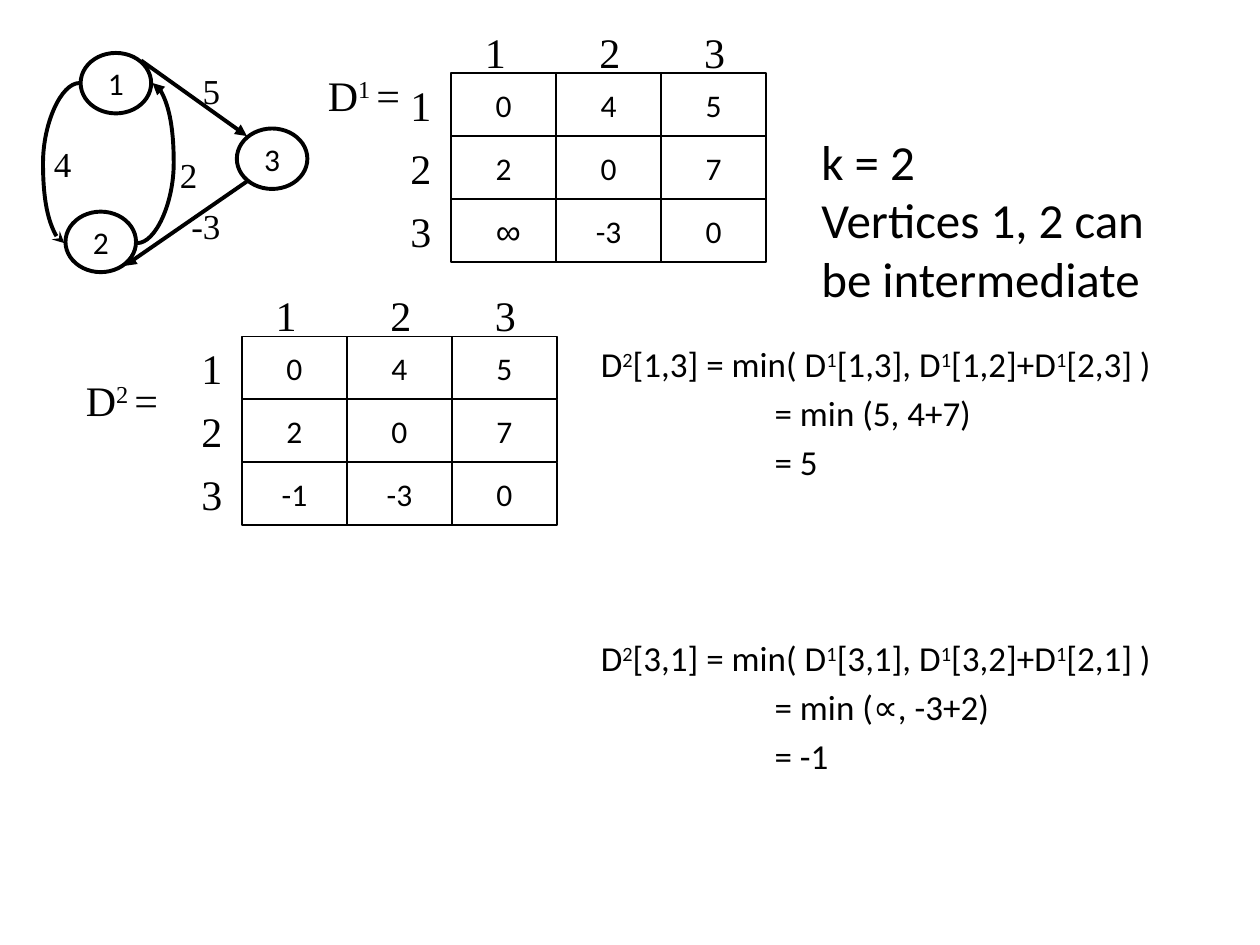
from lxml import etree
from pptx import Presentation
from pptx.dml.color import RGBColor
from pptx.enum import shapes as kinds, text as modes
from pptx.oxml.ns import qn
from pptx.util import Inches, Pt

deck = Presentation()
deck.slide_width, deck.slide_height = Inches(10), Inches(7.5)
slide = deck.slides.add_slide(deck.slide_layouts[6])
items = slide.shapes
black = RGBColor.from_string("000000")
serif = "Times New Roman"


def write(para, words, size, face):
    for i, part in enumerate(words.split("^")):
        run = para.add_run()
        run.text = part
        run.font.size, run.font.name = Pt(size), face
        run.font.color.rgb = black
        if i % 2:
            run._r.get_or_add_rPr().set("baseline", "30000")


def place(kind, box, words, size, face, width=0):
    box = [Inches(n) for n in box]
    item = items.add_shape(kind, *box) if kind else items.add_textbox(*box)
    frame = item.text_frame
    frame.word_wrap = False
    para = frame.paragraphs[0]
    if kind:
        item.shadow.inherit = False
        item.fill.background()
        item.line.color.rgb, item.line.width = black, Pt(width)
        frame.vertical_anchor = modes.MSO_ANCHOR.MIDDLE
        para.alignment = modes.PP_ALIGN.CENTER
    write(para, words, size, face)


rect, oval = kinds.MSO_SHAPE.RECTANGLE, kinds.MSO_SHAPE.OVAL
wide, high = 2.5 / 3, 0.5
grids = [
    (1.92, 2.67, ["0 4 5", "2 0 7", "-1 -3 0"]),
    (3.58, 0.58, ["0 4 5", "2 0 7", "∞ -3 0"]),
]
for left, top, rows in grids:
    for r, row in enumerate(rows):
        for c, cell in enumerate(row.split()):
            box = (left + c * wide, top + r * high, wide, high)
            if cell == "∞":
                place(rect, box, " ∞", 20, "Arial", 1)
            else:
                place(rect, box, cell, 18, "Calibri", 1)
    for i, shift in enumerate([0.17, 1.08, 1.91]):
        head = str(i + 1)
        place(None, (left + shift, top - 0.42, 0.37, 0.5), head, 24, serif)
        place(None, (left - 0.42, top + i * high, 0.37, 0.5), head, 24, serif)

place(None, (0.5, 2.92, 0.88, 0.5), " D^2 ^=", 24, serif)
place(None, (2.42, 0.5, 0.88, 0.5), " D^1 ^=", 24, serif)

for name, x, y in [("1", 0.64, 0.42), ("2", 0.52, 1.68), ("3", 1.88, 1.02)]:
    place(oval, (x, y, 0.56, 0.48), name, 18, "Calibri", 2.25)

line, curve = kinds.MSO_CONNECTOR.STRAIGHT, kinds.MSO_CONNECTOR.CURVE
edges = [
    (line, (1.12, 0.48, 1.96, 1.08), "tailEnd", "triangle", None),
    (line, (1.96, 1.44, 0.99, 2.11), "tailEnd", "triangle", None),
    (curve, (0.51, 1.93, 0.63, 0.66), "headEnd", "stealth", -140600),
    (curve, (1.09, 1.93, 1.21, 0.66), "tailEnd", "triangle", 240600),
]
for kind, ends, tip, style, bend in edges:
    edge = items.add_connector(kind, *[Inches(n) for n in ends])
    edge.line.color.rgb, edge.line.width = black, Pt(2.25)
    etree.SubElement(edge.line._get_or_add_ln(), qn("a:" + tip), type=style)
    props = edge._element.spPr
    etree.SubElement(props, qn("a:effectLst"))
    if bend:
        guides = props.find(qn("a:prstGeom")).find(qn("a:avLst"))
        etree.SubElement(guides, qn("a:gd"), name="adj1", fmla=f"val {bend}")

costs = [("5", 1.51, 0.5, 0.34), ("-3", 1.42, 1.57, 0.43),
         ("2", 1.33, 1.17, 0.34), ("4", 0.33, 1.08, 0.34)]
for cost, x, y, w in costs:
    place(None, (x, y, w, 0.43), cost, 20, serif)

steps = [
    ("D^2^[1,3] = min( D^1^[1,3], D^1^[1,2]+D^1^[2,3] )", 0, 0),
    ("= min (5, 4+7)", 1.38, 4),
    ("= 5", 1.38, 4),
    ("D^2^[3,1] = min( D^1^[3,1], D^1^[3,2]+D^1^[2,1] )", 0, 88),
    ("= min (∝, -3+2)", 1.38, 4),
    ("= -1", 1.38, 4),
]
body = items.add_textbox(*[Inches(n) for n in (4.67, 2.67, 5, 4)]).text_frame
body.word_wrap = True
for i, (words, indent, gap) in enumerate(steps):
    para = body.add_paragraph() if i else body.paragraphs[0]
    para.space_before = Pt(gap)
    para._p.get_or_add_pPr().set("marL", str(Inches(indent)))
    write(para, words, 20, "Calibri")

title = items.add_textbox(*[Inches(n) for n in (6.42, 1.23, 3.08, 1.02)]).text_frame
title.word_wrap = True
title.vertical_anchor = modes.MSO_ANCHOR.MIDDLE
title.text = "k = 2\nVertices 1, 2 can be intermediate"
for para in title.paragraphs:
    font = para.runs[0].font
    font.size, font.name, font.color.rgb = Pt(28), "Calibri", black

deck.save("out.pptx")
